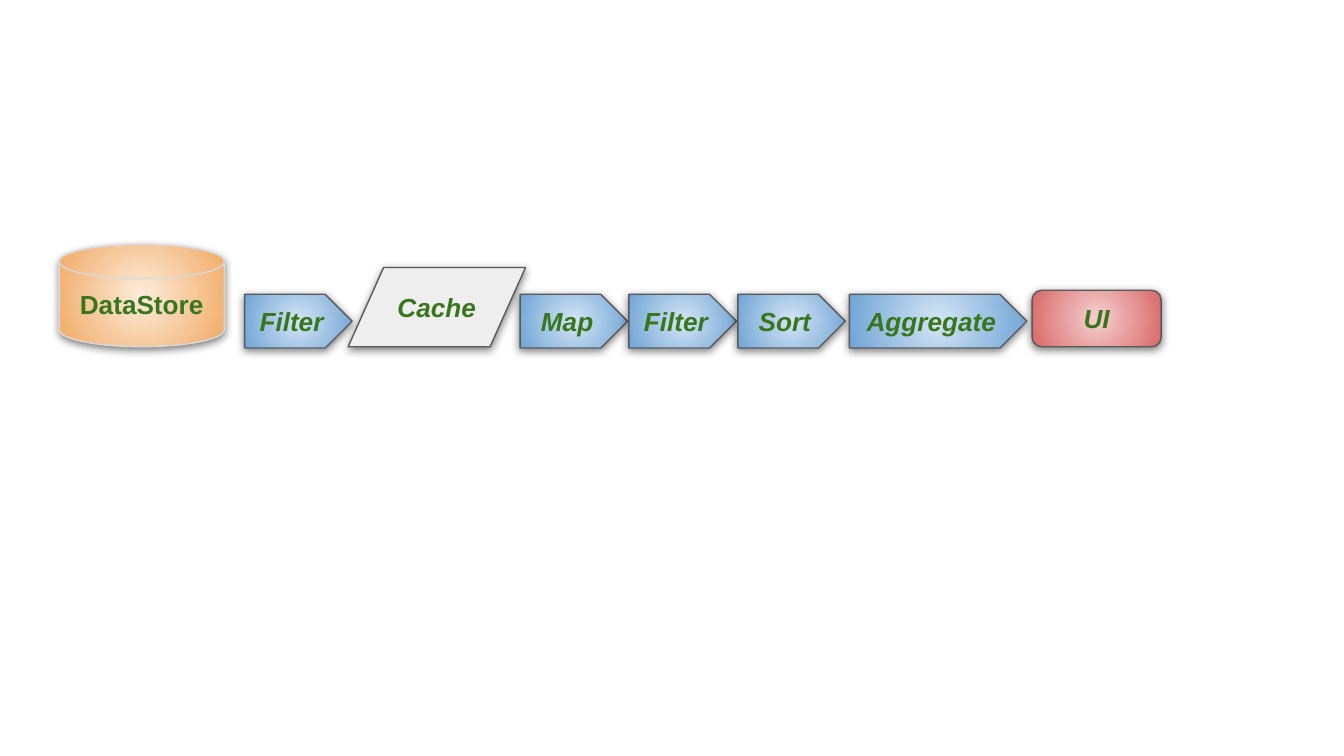
"""Build a slide showing a data pipeline from data store to user interface."""
from pptx import Presentation
from pptx.dml.color import RGBColor
from pptx.enum.shapes import MSO_SHAPE
from pptx.enum.text import MSO_ANCHOR, PP_ALIGN
from pptx.oxml import parse_xml
from pptx.oxml.ns import nsdecls, qn
from pptx.util import Inches, Pt

DISK = MSO_SHAPE.FLOWCHART_MAGNETIC_DISK
DATA = MSO_SHAPE.FLOWCHART_DATA
ARROW = MSO_SHAPE.PENTAGON
ROUNDED = MSO_SHAPE.ROUNDED_RECTANGLE
MIDDLE = MSO_ANCHOR.MIDDLE
CENTER = PP_ALIGN.CENTER

GREEN = RGBColor(0x38, 0x76, 0x1D)
DARK_GRAY = RGBColor(0x59, 0x59, 0x59)
LIGHT_GRAY = RGBColor(0xD9, 0xD9, 0xD9)
PALE_GRAY = RGBColor(0xEE, 0xEE, 0xEE)
ORANGES = (RGBColor(0xFD, 0xEC, 0xDB), RGBColor(0xF0, 0xA9, 0x63))
BLUES = (RGBColor(0xD4, 0xE5, 0xF5), RGBColor(0x70, 0xA4, 0xD5))
REDS = (RGBColor(0xF5, 0xD0, 0xD0), RGBColor(0xD9, 0x68, 0x68))

LABEL_FONT = {"name": "Arial", "size": Pt(14), "bold": True, "italic": True}
FRAME_FORMAT = {"word_wrap": False, "vertical_anchor": MIDDLE}
MARGINS = ("margin_left", "margin_top", "margin_right", "margin_bottom")

STEP_TOP, STEP_HEIGHT = 2.19, 0.4
STEPS_BEFORE_CACHE = [("Filter", 1.82, 0.8)]
STEPS_AFTER_CACHE = [
    ("Map", 3.87, 0.8),
    ("Filter", 4.68, 0.8),
    ("Sort", 5.49, 0.8),
    ("Aggregate", 6.32, 1.32),
]


def set_format(target, values):
    """Set each attribute of the target from a dict."""
    for name, value in values.items():
        setattr(target, name, value)


def fill_radial(sp, colors):
    """Fill a shape with a gradient running from its centre outwards."""
    sp.fill.gradient()
    for stop, color in zip(sp.fill.gradient_stops, colors):
        stop.color.rgb = color
    grad = sp._element.spPr.find(qn("a:gradFill"))
    grad.replace(grad.find(qn("a:lin")), parse_xml(
        f'<a:path {nsdecls("a")} path="circle">'
        '<a:fillToRect l="50000" t="50000" r="50000" b="50000"/></a:path>'))


def add_shadow(sp):
    """Give a shape a soft shadow straight below it."""
    sp.shadow.inherit = False
    sp._element.spPr.find(qn("a:effectLst")).append(parse_xml(
        f'<a:outerShdw {nsdecls("a")} blurRad="{Pt(4.5)}" dist="{Pt(1.5)}" '
        'dir="5400000" algn="bl" rotWithShape="0"><a:srgbClr val="000000">'
        '<a:alpha val="50000"/></a:srgbClr></a:outerShdw>'))


def add_label(sp, text, italic):
    """Write a centred label in a shape."""
    tf = sp.text_frame
    set_format(tf, FRAME_FORMAT)
    set_format(tf, dict.fromkeys(MARGINS, Inches(0.1)))
    p = tf.paragraphs[0]
    p.alignment = CENTER
    r = p.add_run()
    r.text = text
    set_format(r.font, {**LABEL_FONT, "italic": italic})
    r.font.color.rgb = GREEN


def add_stage(s, kind, text, box, fill, line=DARK_GRAY, italic=True):
    """Add one labelled pipeline stage with a solid or radial fill."""
    sp = s.shapes.add_shape(kind, *map(Inches, box))
    if isinstance(fill, RGBColor):
        sp.fill.solid()
        sp.fill.fore_color.rgb = fill
    else:
        fill_radial(sp, fill)
    sp.line.color.rgb = line
    sp.line.width = Pt(0.75)
    add_shadow(sp)
    add_label(sp, text, italic)


def add_steps(s, steps):
    """Add the arrow-shaped processing steps."""
    for text, left, width in steps:
        add_stage(s, ARROW, text, (left, STEP_TOP, width, STEP_HEIGHT), BLUES)


def main():
    """Build and save the presentation."""
    prs = Presentation()
    prs.slide_width = Inches(10)
    prs.slide_height = prs.slide_width * 9 // 16
    s = prs.slides.add_slide(prs.slide_layouts[6])
    add_stage(s, DISK, "DataStore", (0.44, 1.82, 1.23, 0.76), ORANGES,
              line=LIGHT_GRAY, italic=False)
    add_stage(s, ROUNDED, "UI", (7.68, 2.16, 0.96, 0.42), REDS)
    add_steps(s, STEPS_BEFORE_CACHE)
    add_stage(s, DATA, "Cache", (2.59, 1.99, 1.32, 0.59), PALE_GRAY)
    add_steps(s, STEPS_AFTER_CACHE)
    prs.save("out.pptx")


if __name__ == "__main__":
    main()
